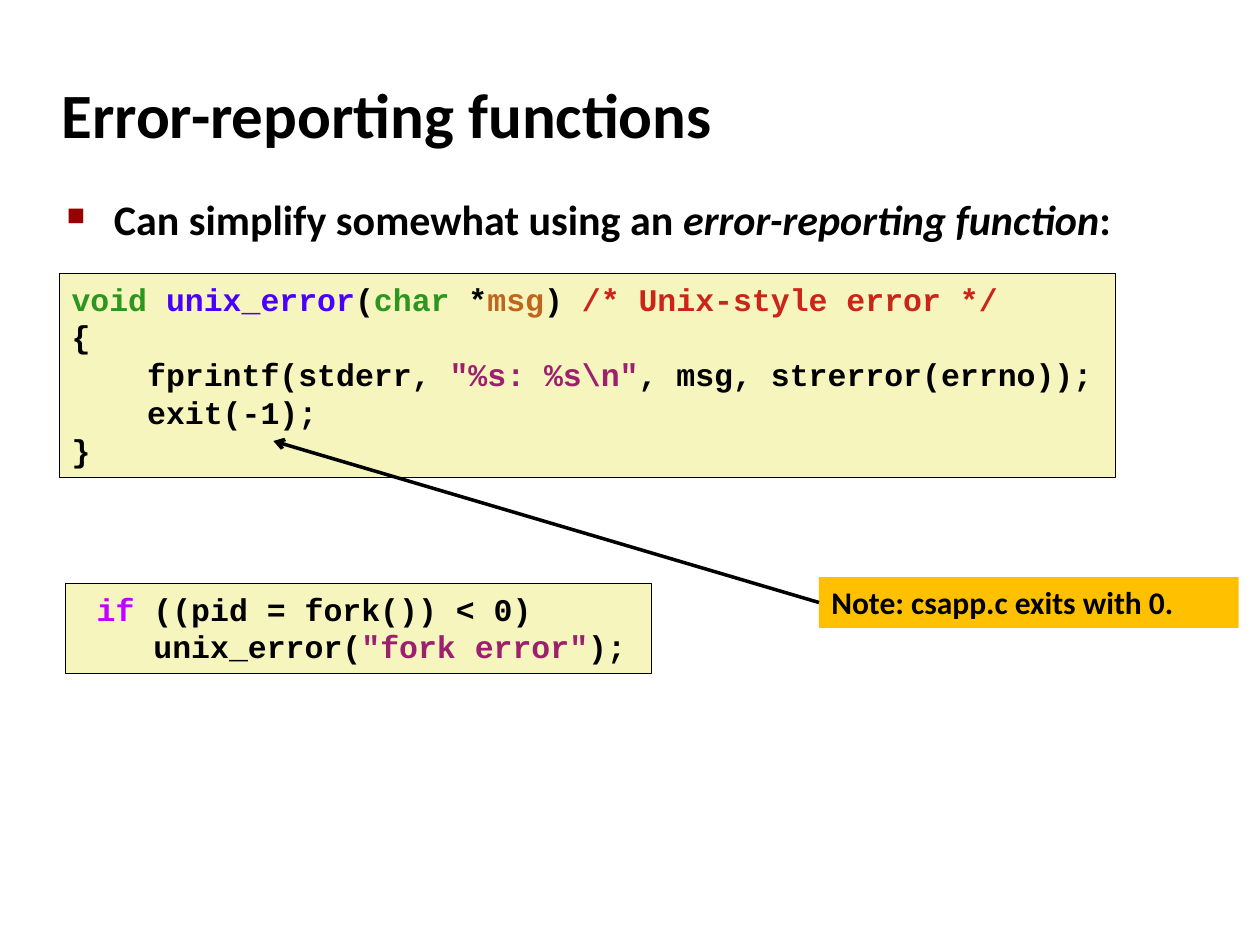
from lxml import etree
from pptx import Presentation
from pptx.dml.color import RGBColor
from pptx.enum.shapes import MSO_CONNECTOR, MSO_SHAPE
from pptx.enum.text import MSO_ANCHOR, MSO_AUTO_SIZE, PP_ALIGN
from pptx.oxml.ns import qn
from pptx.util import Pt

RECT = MSO_SHAPE.RECTANGLE
LINE = MSO_CONNECTOR.STRAIGHT
TOP, MID = MSO_ANCHOR.TOP, MSO_ANCHOR.MIDDLE
GROW = MSO_AUTO_SIZE.SHAPE_TO_FIT_TEXT
LEFT = PP_ALIGN.LEFT

BLACK, CREAM, GOLD, DARK_RED = "000000", "F6F5BD", "FFC000", "990000"
GREEN, BLUE, BROWN = "2D961E", "4A00FF", "C1651C"
RED, PLUM, VIOLET = "CB2418", "9D206F", "C200FF"


def color(code):
    return RGBColor.from_string(code)


def add_tag(parent, tag, **attrs):
    return etree.SubElement(parent, qn(tag), attrs)


class Deck:
    sans, mono = "Calibri", "Courier New"

    def __init__(self, slide):
        self.slide = slide

    def fill_in(self, frame, lines, font, size, anchor=TOP, wrap=True, bullet=None):
        """Each line is a list of (text, format) runs."""
        frame.word_wrap = wrap
        frame.vertical_anchor = anchor
        for i, runs in enumerate(lines):
            para = frame.add_paragraph() if i else frame.paragraphs[0]
            para.alignment = LEFT
            if bullet:
                self.mark(para, bullet)
            for text, style in runs:
                run = para.add_run()
                run.text = text
                look = {"name": font, "size": Pt(size), "bold": True, **style}
                run.font.color.rgb = color(look.pop("color", BLACK))
                for key, value in look.items():
                    setattr(run.font, key, value)

    def mark(self, para, sign):
        props = para._p.get_or_add_pPr()
        props.set("marL", str(Pt(27)))
        props.set("indent", str(-Pt(27)))
        add_tag(add_tag(props, "a:buClr"), "a:srgbClr", val=DARK_RED)
        add_tag(props, "a:buSzPct", val="60000")
        add_tag(props, "a:buChar", char=sign)

    def text(self, area, lines, size, **opts):
        box = self.slide.shapes.add_textbox(*map(Pt, area))
        self.fill_in(box.text_frame, lines, self.sans, size, **opts)

    def panel(self, area, lines, fill, font, edge=None, **opts):
        box = self.slide.shapes.add_shape(RECT, *map(Pt, area))
        box.shadow.inherit = False
        box.fill.solid()
        box.fill.fore_color.rgb = color(fill)
        if edge:
            box.line.color.rgb = color(edge)
            box.line.width = Pt(0.25)
        else:
            box.line.fill.background()
        self.fill_in(box.text_frame, lines, font, 18, **opts)
        box.text_frame.auto_size = GROW
        return box

    def code(self, area, lines):
        runs = [[(text, {"color": tint}) for text, tint in line] for line in lines]
        self.panel(area, runs, CREAM, self.mono, edge=BLACK, wrap=False)

    def arrow(self, box, side, end):
        link = self.slide.shapes.add_connector(LINE, 0, 0, *map(Pt, end))
        link.begin_connect(box, side)
        link.line.color.rgb = color(BLACK)
        link.line.width = Pt(2)
        add_tag(link.line._get_or_add_ln(), "a:tailEnd", type="arrow")
        add_tag(link._element.spPr, "a:effectLst")


def main():
    show = Presentation()
    show.slide_width, show.slide_height = Pt(720), Pt(540)
    deck = Deck(show.slides.add_slide(show.slide_layouts[6]))

    # Title and lead sentence
    deck.text((28, 34.5, 598, 60), [[("Error-reporting functions", {})]], 36, anchor=MID)
    deck.text((31, 107.3, 622, 36.7), [[
        ("Can simplify somewhat using an ", {}),
        ("error-reporting function", {"italic": True}),
        (":", {}),
    ]], 24, bullet="■")

    # Function definition
    deck.code((33.8, 156.2, 603.4, 116.6), [
        [("void ", GREEN), ("unix_error", BLUE), ("(", BLACK), ("char", GREEN),
         (" *", BLACK), ("msg", BROWN), (") ", BLACK),
         ("/* Unix-style error */", RED)],
        [("{", BLACK)],
        [("    fprintf(stderr, ", BLACK), ('"%s: %s\\n"', PLUM),
         (", msg, strerror(errno));", BLACK)],
        [("    exit(-1);", BLACK)],
        [("}", BLACK)],
    ])

    # Function call
    deck.code((37.4, 333.4, 334.8, 51.1), [
        [(" ", BLACK), ("if", VIOLET), (" ((pid = fork()) < 0)", BLACK)],
        [("    unix_error(", BLACK), ('"fork error"', PLUM), (");", BLACK)],
    ])

    # Note pointing at the exit call
    note = deck.panel((468, 329.8, 239.8, 29),
                      [[("Note: csapp.c exits with 0.", {})]], GOLD, deck.sans)
    deck.arrow(note, 1, (156.2, 252))

    show.save("out.pptx")


if __name__ == "__main__":
    main()
